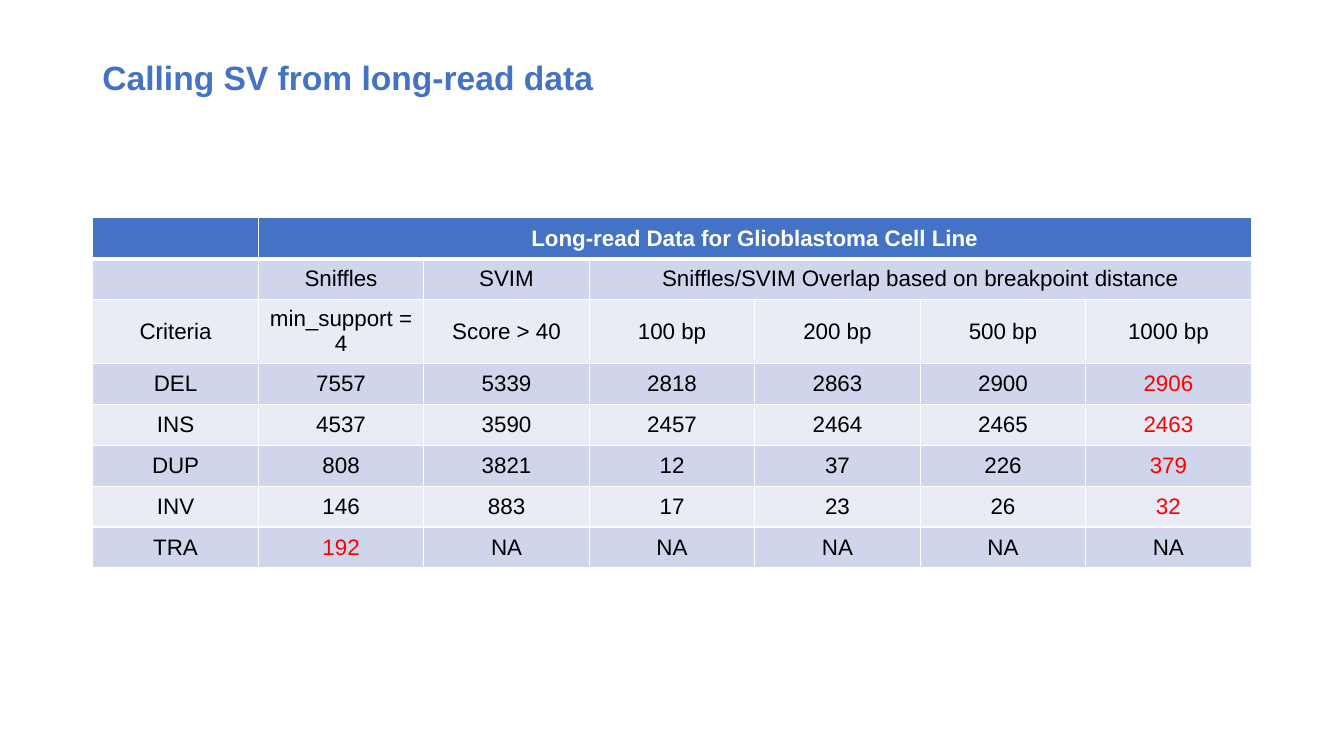
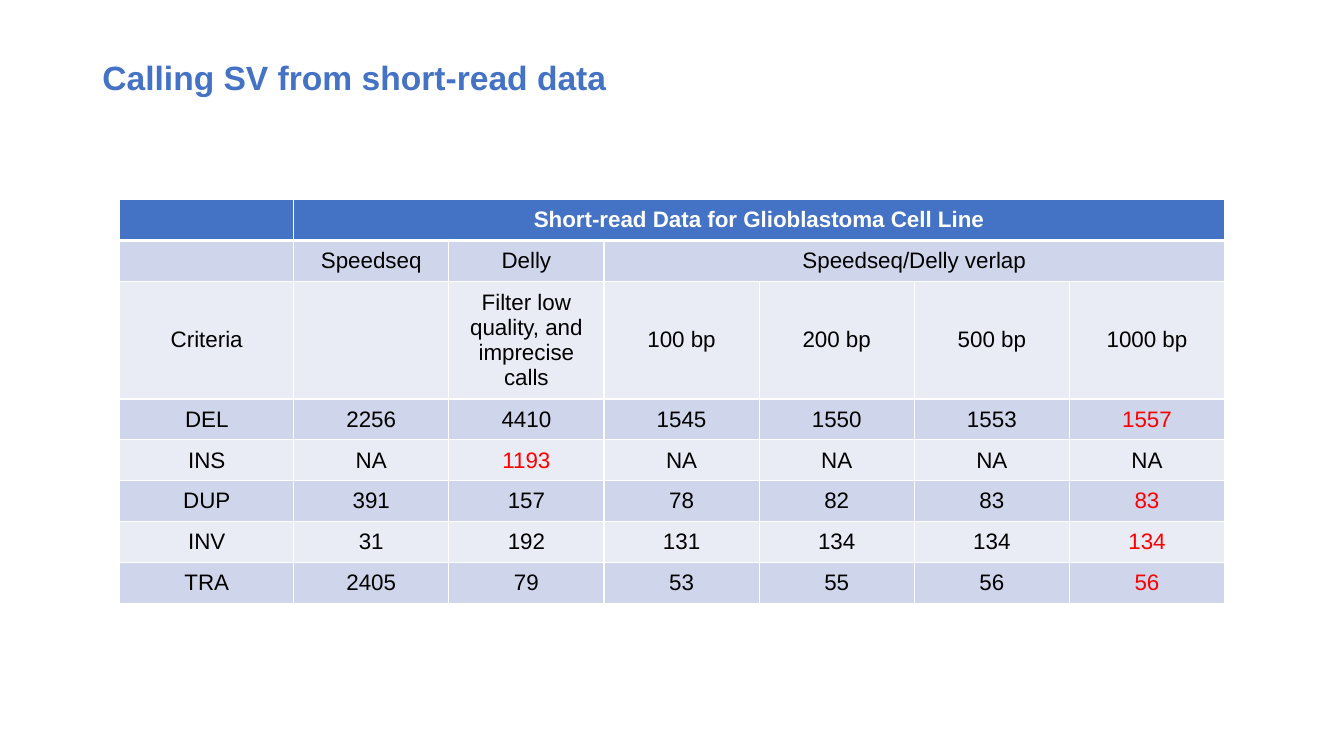
"""Build two slides comparing structural variant calls from long and short reads."""
from dataclasses import dataclass

from lxml.etree import SubElement
from pptx import Presentation
from pptx.dml.color import RGBColor
from pptx.enum.text import MSO_ANCHOR as Anchor, PP_ALIGN as Align
from pptx.oxml.ns import qn
from pptx.util import Cm, Pt

BLUE = RGBColor(0x44, 0x72, 0xC4)
BAND_DARK = RGBColor(0xCF, 0xD5, 0xEA)
BAND_LIGHT = RGBColor(0xE9, 0xEB, 0xF5)
WHITE = RGBColor(0xFF, 0xFF, 0xFF)
BLACK = RGBColor(0x00, 0x00, 0x00)
RED = RGBColor(0xFF, 0x00, 0x00)

FONT = "Arial"
ROW_HEIGHT = Cm(1.03)
CRITERIA_ROW = 2
OVERLAP_COLUMN = 3
DISTANCES = ["100 bp", "200 bp", "500 bp", "1000 bp"]


@dataclass(frozen=True)
class CallTable:
    title: str
    heading: str
    callers: list[str]
    overlap: str
    criteria: list[str]
    counts: list[str]
    red_cells: set[tuple[int, int]]
    left: Cm
    top: Cm
    label_width: Cm
    value_width: Cm
    criteria_height: Cm

    def rows(self) -> list[list[str]]:
        return [
            ["", self.heading, "", "", "", "", ""],
            ["", *self.callers, self.overlap, "", "", ""],
            ["Criteria", *self.criteria, *DISTANCES],
            *(line.split() for line in self.counts),
        ]


TABLES = [
    CallTable(
        title="Calling SV from long-read data",
        heading="Long-read Data for Glioblastoma Cell Line",
        callers=["Sniffles", "SVIM"],
        overlap="Sniffles/SVIM Overlap based on breakpoint distance",
        criteria=["min_support = 4", "Score > 40"],
        counts=[
            "DEL 7557 5339 2818 2863 2900 2906",
            "INS 4537 3590 2457 2464 2465 2463",
            "DUP 808 3821 12 37 226 379",
            "INV 146 883 17 23 26 32",
            "TRA 192 NA NA NA NA NA",
        ],
        red_cells={(3, 6), (4, 6), (5, 6), (6, 6), (7, 1)},
        left=Cm(2.34), top=Cm(5.49),
        label_width=Cm(4.17), value_width=Cm(4.17), criteria_height=Cm(1.52),
    ),
    CallTable(
        title="Calling SV from short-read data",
        heading="Short-read Data for Glioblastoma Cell Line",
        callers=["Speedseq", "Delly"],
        overlap="Speedseq/Delly verlap",
        criteria=["", "Filter low quality, and imprecise calls"],
        counts=[
            "DEL 2256 4410 1545 1550 1553 1557",
            "INS NA 1193 NA NA NA NA",
            "DUP 391 157 78 82 83 83",
            "INV 31 192 131 134 134 134",
            "TRA 2405 79 53 55 56 56",
        ],
        red_cells={(3, 6), (4, 2), (5, 6), (6, 6), (7, 6)},
        left=Cm(3.02), top=Cm(5.03),
        label_width=Cm(4.38), value_width=Cm(3.91), criteria_height=Cm(2.76),
    ),
]


def set_font(para, size: int, color: RGBColor, bold: bool) -> None:
    font = para.font
    font.name, font.size, font.bold = FONT, Pt(size), bold
    font.color.rgb = color


def add_title(page, title: str) -> None:
    box = page.shapes.add_textbox(Cm(2.33), Cm(1.02), Cm(29.21), Cm(1.96))
    frame = box.text_frame
    frame.word_wrap = True
    frame.vertical_anchor = Anchor.MIDDLE
    para = frame.paragraphs[0]
    para.text = title
    para.line_spacing = 0.9
    set_font(para, 24, BLUE, True)


def add_borders(cell, row: int) -> None:
    properties = cell._tc.get_or_add_tcPr()
    for side in ("L", "R", "T", "B"):
        thick = (row, side) in {(0, "B"), (1, "T")}
        line = SubElement(properties, qn(f"a:ln{side}"), w=str(Pt(3 if thick else 1)))
        fill = SubElement(line, qn("a:solidFill"))
        SubElement(fill, qn("a:srgbClr"), val=str(WHITE))


def fill_cell(cell, text: str, row: int, red: bool) -> None:
    header = row == 0
    add_borders(cell, row)
    cell.fill.solid()
    cell.fill.fore_color.rgb = BLUE if header else BAND_DARK if row % 2 else BAND_LIGHT
    cell.vertical_anchor = Anchor.MIDDLE
    para = cell.text_frame.paragraphs[0]
    para.text = text
    para.alignment = Align.CENTER
    set_font(para, 16, WHITE if header else RED if red else BLACK, header)


def add_call_table(page, calls: CallTable) -> None:
    rows = calls.rows()
    row_count, column_count = len(rows), len(rows[0])
    width = calls.label_width + calls.value_width * (column_count - 1)
    height = ROW_HEIGHT * (row_count - 1) + calls.criteria_height
    table = page.shapes.add_table(
        row_count, column_count, calls.left, calls.top, width, height).table
    for index, column in enumerate(table.columns):
        column.width = calls.value_width if index else calls.label_width
    for index, table_row in enumerate(table.rows):
        table_row.height = calls.criteria_height if index == CRITERIA_ROW else ROW_HEIGHT
    for row, texts in enumerate(rows):
        for column, text in enumerate(texts):
            fill_cell(table.cell(row, column), text, row, (row, column) in calls.red_cells)
    last = column_count - 1
    table.cell(0, 1).merge(table.cell(0, last))
    table.cell(1, OVERLAP_COLUMN).merge(table.cell(1, last))


def main() -> None:
    deck = Presentation()
    deck.slide_width, deck.slide_height = Cm(33.87), Cm(19.05)
    for calls in TABLES:
        page = deck.slides.add_slide(deck.slide_layouts[6])
        add_title(page, calls.title)
        add_call_table(page, calls)
    deck.save("out.pptx")


if __name__ == "__main__":
    main()
